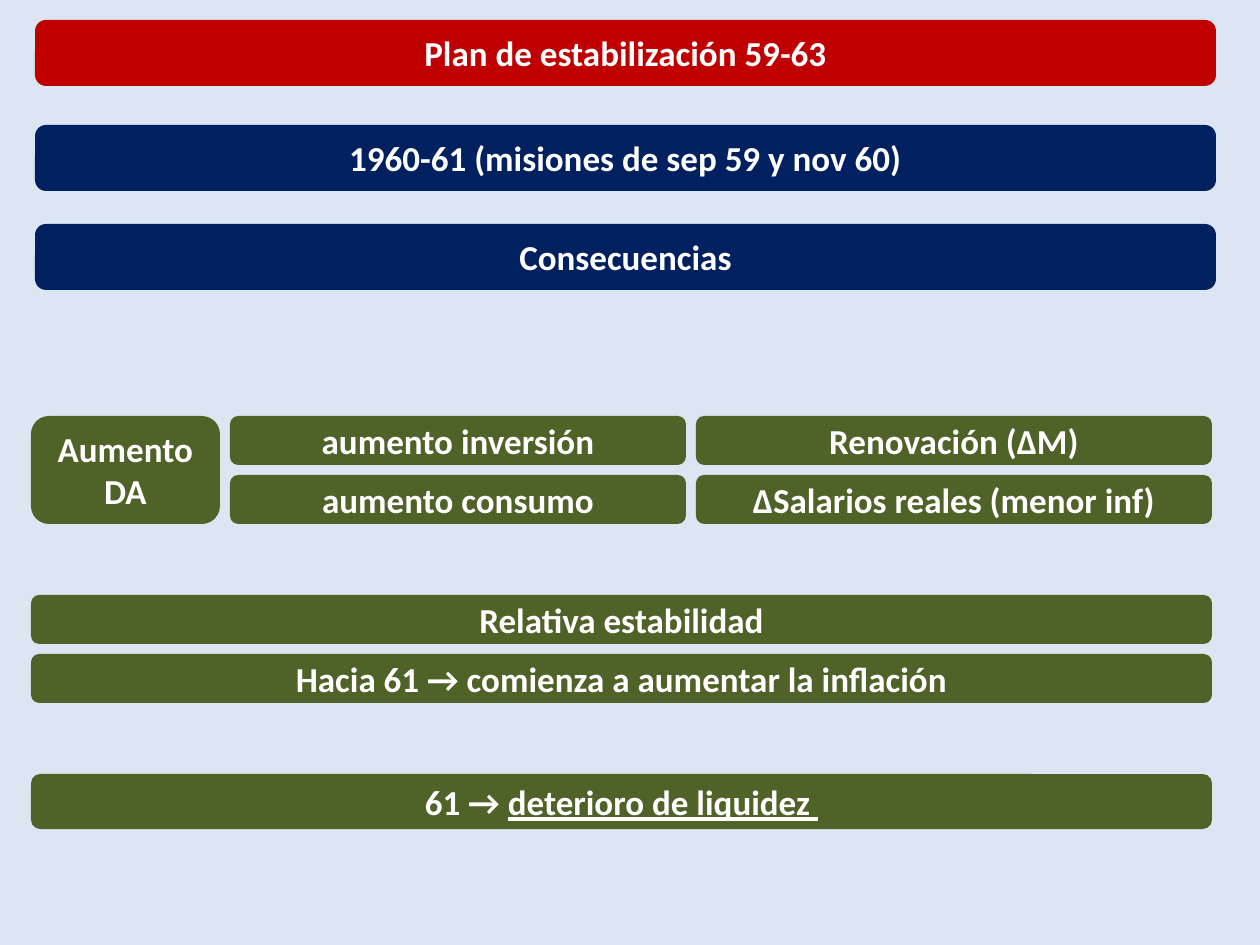
from dataclasses import dataclass

from pptx import Presentation
from pptx.dml.color import RGBColor
from pptx.enum.shapes import MSO_SHAPE
from pptx.enum.text import MSO_ANCHOR, PP_ALIGN
from pptx.util import Emu, Pt

ROUNDED = MSO_SHAPE.ROUNDED_RECTANGLE
MIDDLE = MSO_ANCHOR.MIDDLE
CENTER = PP_ALIGN.CENTER
PX_PER_INCH = 126


@dataclass(frozen=True)
class Theme:
    background: str = "DCE6F2"
    title: str = "C00000"
    heading: str = "002060"
    body: str = "4F6228"
    text: str = "FFFFFF"
    font: str = "Calibri"
    size: int = 20


def px(length):
    """Turn px into EMU."""
    return Emu(round(length * 914400 / PX_PER_INCH))


def add_text(para, text, *, font, size, color, bold=True, underline=None):
    span = para.add_run()
    span.text = text
    span.font.name = font
    span.font.size = Pt(size)
    span.font.color.rgb = RGBColor.from_string(color)
    span.font.bold = bold
    span.font.underline = underline


class SlideBuilder:
    def __init__(self, deck, theme):
        self.theme = theme
        self.slide = deck.slides.add_slide(deck.slide_layouts[6])
        fill = self.slide.background.fill
        fill.solid()
        fill.fore_color.rgb = RGBColor.from_string(theme.background)

    def box(self, left, top, width, height, color, text, underlined=""):
        """Add a rounded box; the underlined words follow the plain ones."""
        box = self.slide.shapes.add_shape(
            ROUNDED, px(left), px(top), px(width), px(height))
        box.shadow.inherit = False
        box.fill.solid()
        box.fill.fore_color.rgb = RGBColor.from_string(color)
        box.line.fill.background()
        frame = box.text_frame
        frame.word_wrap = True
        frame.vertical_anchor = MIDDLE
        para = frame.paragraphs[0]
        para.alignment = CENTER
        style = dict(font=self.theme.font, size=self.theme.size,
                     color=self.theme.text)
        add_text(para, text, **style)
        if underlined:
            add_text(para, underlined, underline=True, **style)


def main():
    deck = Presentation()
    deck.slide_width, deck.slide_height = px(1260), px(945)
    theme = Theme()
    page = SlideBuilder(deck, theme)
    full_width = 1181

    for top, color, text in (
        (20, theme.title, "Plan de estabilización 59-63"),
        (125, theme.heading, "1960-61 (misiones de sep 59 y nov 60)"),
        (224, theme.heading, "Consecuencias"),
    ):
        page.box(35, top, full_width, 66, color, text)

    left, row, gap = 31, 49, 10
    pitch = row + gap
    demand_top, demand_width = 416, 189
    page.box(left, demand_top, demand_width, row + pitch, theme.body,
             "Aumento DA")
    column_left = left + demand_width + gap
    for width, causes in (
        (456, ("aumento inversión", "aumento consumo")),
        (516, ("Renovación (∆M)", "∆Salarios reales (menor inf)")),
    ):
        for index, text in enumerate(causes):
            page.box(column_left, demand_top + index * pitch, width, row,
                     theme.body, text)
        column_left += width + gap

    prices = ("Relativa estabilidad",
              "Hacia 61 → comienza a aumentar la inflación")
    for index, text in enumerate(prices):
        page.box(left, 595 + index * pitch, full_width, row, theme.body, text)

    page.box(left, 774, full_width, 55, theme.body,
             "61 → ", underlined="deterioro de liquidez ")
    deck.save("out.pptx")


if __name__ == "__main__":
    main()
